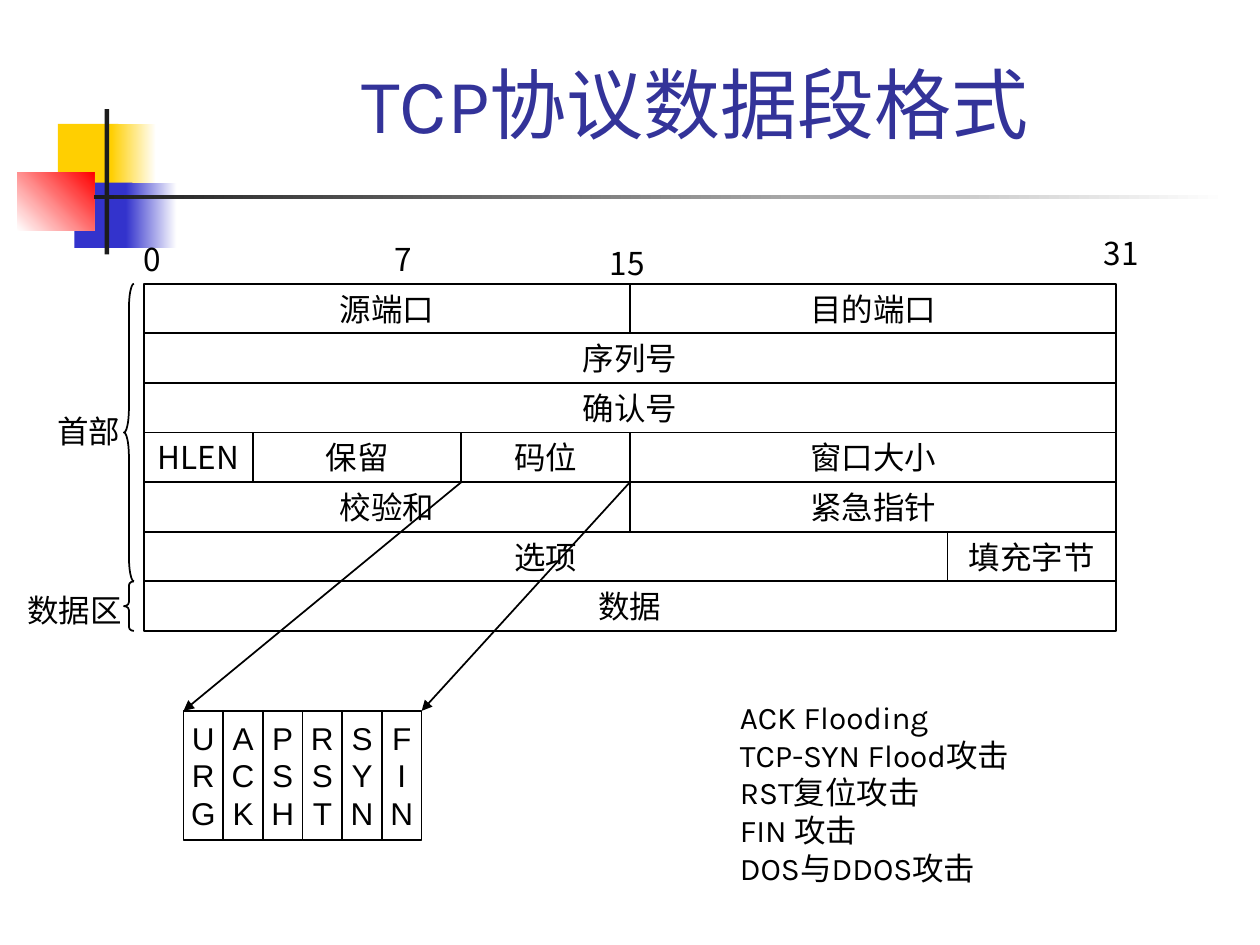
from dataclasses import dataclass
from typing import Optional

from lxml import etree
from pptx import Presentation
from pptx import util as u
from pptx.dml.color import RGBColor
from pptx.enum import shapes, text
from pptx.oxml.ns import qn


@dataclass(frozen=True)
class Theme:
    title: str = "333399"
    ink: str = "000000"
    bar: str = "1C1C1C"
    yellow: str = "FFCF01"
    blue: str = "3333CC"
    red: str = "FF0000"
    white: str = "FFFFFF"
    karla: str = "Karla"
    arial: str = "Arial"
    cjk: str = "Noto Sans CJK JP"
    title_size: int = 44
    body_size: int = 18


@dataclass(frozen=True)
class Box:
    """A rectangle in centimetres."""
    left: float
    top: float
    width: float
    height: float

    def lengths(self) -> tuple:
        return tuple(u.Cm(v) for v in (self.left, self.top, self.width, self.height))


@dataclass(frozen=True)
class Ornament:
    box: Box
    start: str
    end: Optional[str] = None
    angle: float = 0


@dataclass(frozen=True)
class Field:
    row: int
    left: float
    right: float
    label: str


@dataclass(frozen=True)
class Label:
    box: Box
    label: str
    font: str


@dataclass(frozen=True)
class Brace:
    first_row: int
    rows: int
    curl: float


THEME = Theme()
ROW_HEIGHT = 1
HEADER_TOP = 5.72
LEFT, MIDDLE, RIGHT = 2.9, 12.7, 22.5
CODE_LEFT = 9.3
FLAG_LEFT, FLAG_TOP, FLAG_WIDTH, FLAG_HEIGHT = 3.7, 14.33, 0.8, 2.6

ORNAMENTS = [
    Ornament(Box(1.17, 2.5, 1.22, 1.32), THEME.yellow),
    Ornament(Box(2.24, 2.5, 0.91, 1.32), THEME.yellow, THEME.white),
    Ornament(Box(1.5, 3.68, 1.17, 1.32), THEME.blue),
    Ornament(Box(2.54, 3.68, 1.02, 1.32), THEME.blue, THEME.white),
    Ornament(Box(0.35, 3.47, 1.55, 1.18), THEME.white, THEME.red, 45),
    Ornament(Box(2.11, 2.2, 0.09, 2.93), THEME.bar),
    Ornament(Box(1.9, 3.94, 22.86, 0.08), THEME.bar, THEME.white),
]
FIELDS = [
    Field(0, LEFT, MIDDLE, "源端口"),
    Field(0, MIDDLE, RIGHT, "目的端口"),
    Field(1, LEFT, RIGHT, "序列号"),
    Field(2, LEFT, RIGHT, "确认号"),
    Field(3, LEFT, 5.1, "HLEN"),
    Field(3, 5.1, CODE_LEFT, "保留"),
    Field(3, CODE_LEFT, MIDDLE, "码位"),
    Field(3, MIDDLE, RIGHT, "窗口大小"),
    Field(4, LEFT, MIDDLE, "校验和"),
    Field(4, MIDDLE, RIGHT, "紧急指针"),
    Field(5, LEFT, 19.1, "选项"),
    Field(5, 19.1, RIGHT, "填充字节"),
    Field(6, LEFT, RIGHT, "数据"),
]
FLAGS = ["URG", "ACK", "PSH", "RST", "SYN", "FIN"]
LABELS = [
    Label(Box(2.64, 4.72, 0.86, 1.02), "0", THEME.cjk),
    Label(Box(7.7, 4.72, 0.86, 1.02), "7", THEME.cjk),
    Label(Box(12.04, 4.8, 1.22, 1.02), "15", THEME.cjk),
    Label(Box(22, 4.6, 1.22, 1.02), "31", THEME.cjk),
    Label(Box(0.91, 8.18, 1.78, 1.02), "首部", THEME.cjk),
    Label(Box(0.3, 11.79, 2.41, 1.02), "数据区", THEME.arial),
]
BRACES = [Brace(0, 6, 2.5), Brace(6, 1, 0.4)]
ATTACKS = ["ACK\u00a0Flooding", "TCP-SYN\u00a0Flood攻击", "RST复位攻击",
           "FIN 攻击", "DOS与DDOS攻击"]


def rgb(colour: str) -> RGBColor:
    return RGBColor.from_string(colour)


def row_top(row: int) -> float:
    return HEADER_TOP + row * ROW_HEIGHT


def format_text(frame, font: str, size: int, colour: str, alignment) -> None:
    for paragraph in frame.paragraphs:
        paragraph.alignment = alignment
        for run in paragraph.runs:
            run.font.size = u.Pt(size)
            run.font.color.rgb = rgb(colour)
            run.font.name = font
            east_asian = etree.SubElement(run.font._element, qn("a:ea"))
            east_asian.set("typeface", THEME.cjk)


def outline(line) -> None:
    line.color.rgb = rgb(THEME.ink)
    line.width = u.Pt(1)


def draw_ornament(slide, ornament: Ornament) -> None:
    shape = slide.shapes.add_shape(shapes.MSO_SHAPE.RECTANGLE, *ornament.box.lengths())
    shape.shadow.inherit = False
    shape.line.fill.background()
    if ornament.end is None:
        shape.fill.solid()
        shape.fill.fore_color.rgb = rgb(ornament.start)
        return
    shape.fill.gradient()
    shape.fill.gradient_angle = ornament.angle
    for stop, colour in zip(shape.fill.gradient_stops, (ornament.start, ornament.end)):
        stop.color.rgb = rgb(colour)


def draw_outlined(slide, kind, box: Box):
    shape = slide.shapes.add_shape(kind, *box.lengths())
    shape.shadow.inherit = False
    shape.fill.background()
    outline(shape.line)
    return shape


def draw_cell(slide, box: Box, label: str, font: str) -> None:
    frame = draw_outlined(slide, shapes.MSO_SHAPE.RECTANGLE, box).text_frame
    frame.word_wrap = False
    frame.vertical_anchor = text.MSO_ANCHOR.MIDDLE
    frame.text = label
    format_text(frame, font, THEME.body_size, THEME.ink, text.PP_ALIGN.CENTER)


def draw_label(slide, label: Label) -> None:
    frame = slide.shapes.add_textbox(*label.box.lengths()).text_frame
    frame.word_wrap = False
    frame.text = label.label
    format_text(frame, label.font, THEME.body_size, THEME.ink, text.PP_ALIGN.LEFT)


def draw_brace(slide, brace: Brace) -> None:
    box = Box(2.5, row_top(brace.first_row), 0.2, brace.rows * ROW_HEIGHT)
    shape = draw_outlined(slide, shapes.MSO_SHAPE.LEFT_BRACE, box)
    shape.adjustments[0] = brace.curl


def draw_arrow(slide, start: tuple[float, float], end: tuple[float, float]) -> None:
    arrow = slide.shapes.add_connector(
        shapes.MSO_CONNECTOR.STRAIGHT, *(u.Cm(v) for v in start + end))
    outline(arrow.line)
    etree.SubElement(arrow.line._get_or_add_ln(), qn("a:tailEnd")).set("type", "triangle")
    etree.SubElement(arrow._element.spPr, qn("a:effectLst"))


def place(placeholder, box: Box) -> None:
    placeholder.left, placeholder.top, placeholder.width, placeholder.height = box.lengths()


def fill_title(title) -> None:
    place(title, Box(3.2, 0.58, 21.64, 2.54))
    title.text_frame.text = "TCP协议数据段格式"
    title.text_frame.vertical_anchor = text.MSO_ANCHOR.BOTTOM
    format_text(title.text_frame, THEME.karla, THEME.title_size, THEME.title,
                text.PP_ALIGN.CENTER)


def fill_attacks(body) -> None:
    place(body, Box(14.66, 13.94, 6.27, 4.06))
    frame = body.text_frame
    frame.text = "\n".join(ATTACKS)
    frame.word_wrap = False
    frame.auto_size = text.MSO_AUTO_SIZE.NONE
    for paragraph in frame.paragraphs:
        properties = paragraph._p.get_or_add_pPr()
        properties.set("marL", "0")
        properties.set("indent", "0")
        etree.SubElement(properties, qn("a:buNone"))
        paragraph.space_before = u.Pt(0)
    format_text(frame, THEME.karla, THEME.body_size, THEME.ink, text.PP_ALIGN.LEFT)


def main() -> None:
    presentation = Presentation()
    presentation.slide_width, presentation.slide_height = u.Cm(25.4), u.Cm(19.05)
    slide = presentation.slides.add_slide(presentation.slide_layouts[1])
    fill_title(slide.shapes.title)
    fill_attacks(slide.placeholders[1])
    for ornament in ORNAMENTS:
        draw_ornament(slide, ornament)
    for field in FIELDS:
        box = Box(field.left, row_top(field.row), field.right - field.left, ROW_HEIGHT)
        draw_cell(slide, box, field.label, THEME.cjk)
    for index, flag in enumerate(FLAGS):
        box = Box(FLAG_LEFT + index * FLAG_WIDTH, FLAG_TOP, FLAG_WIDTH, FLAG_HEIGHT)
        draw_cell(slide, box, "\n".join(flag), THEME.arial)
    flags_right = FLAG_LEFT + len(FLAGS) * FLAG_WIDTH
    for start, end in ((CODE_LEFT, FLAG_LEFT), (MIDDLE, flags_right)):
        draw_arrow(slide, (start, row_top(4)), (end, FLAG_TOP))
    for label in LABELS:
        draw_label(slide, label)
    for brace in BRACES:
        draw_brace(slide, brace)
    presentation.save("out.pptx")


if __name__ == "__main__":
    main()
